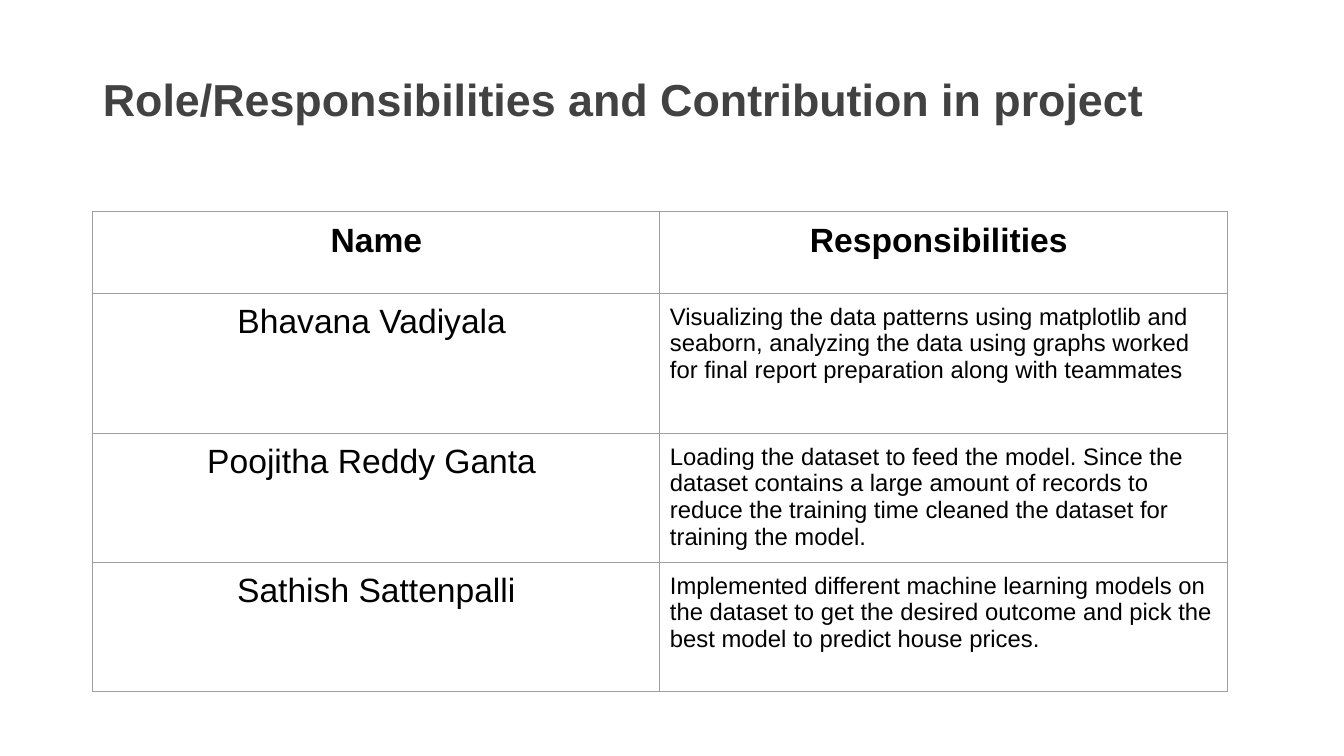
from dataclasses import dataclass
from lxml.etree import SubElement
from pptx import Presentation
from pptx.dml.color import RGBColor as Color
from pptx.enum.text import MSO_ANCHOR as Anchor, PP_ALIGN as Align
from pptx.oxml.ns import qn
from pptx.util import Inches, Pt

# Content
TITLE = "Role/Responsibilities and Contribution in project"
ROWS = [
    ("Name", "Responsibilities "),
    ("Bhavana Vadiyala ",
     "Visualizing the data patterns using matplotlib and seaborn, analyzing "
     "the data using graphs worked for final report preparation along with "
     "teammates"),
    ("Poojitha Reddy Ganta ",
     "Loading the dataset to feed the model. Since the dataset contains a "
     "large amount of records to reduce the training time cleaned the "
     "dataset for training the model."),
    ("Sathish Sattenpalli",
     "Implemented different machine learning models on the dataset to get "
     "the desired outcome and pick the best model to predict house prices."),
]
HEIGHTS = [0.81, 1.39, 1.28, 1.28]
LEFT, TOP, WIDTH = 0.92, 2.1, 11.25
PAD = 0.1


@dataclass
class Theme:
    font: str = "Arial"
    title: str = "424242"
    text: str = "000000"
    rule: str = "9E9E9E"
    head_size: int = 32
    name_size: int = 24
    body_size: int = 17
    rule_size: float = 0.75


THEME = Theme()


def write(para, text, size, color, bold=False):
    run = para.add_run()
    run.text = text
    font = run.font
    font.name, font.size, font.bold = THEME.font, Pt(size), bold
    font.color.rgb = Color.from_string(color)


def frame(cell):
    """Rule all four sides, then clear the fill."""
    props = cell._tc.get_or_add_tcPr()
    for side in ("lnL", "lnR", "lnT", "lnB"):
        line = SubElement(props, qn("a:" + side), w=str(Pt(THEME.rule_size)))
        fill = SubElement(line, qn("a:solidFill"))
        SubElement(fill, qn("a:srgbClr"), val=THEME.rule)
    cell.fill.background()


def add_title(slide):
    title = slide.shapes.title
    title.left, title.top = Inches(LEFT), Inches(0.4)
    title.width, title.height = Inches(11.5), Inches(1.22)
    box = title.text_frame
    box.word_wrap = True
    box.vertical_anchor = Anchor.MIDDLE
    para = box.paragraphs[0]
    para.alignment, para.line_spacing = Align.LEFT, 0.9
    write(para, TITLE, THEME.head_size, THEME.title, True)


def add_roles(slide):
    count = len(ROWS[0])
    table = slide.shapes.add_table(
        len(ROWS), count, Inches(LEFT), Inches(TOP),
        Inches(WIDTH), Inches(sum(HEIGHTS))).table
    table.first_row = table.horz_banding = False
    for col in table.columns:
        col.width = Inches(WIDTH / count)
    for i, (texts, height) in enumerate(zip(ROWS, HEIGHTS)):
        table.rows[i].height = Inches(height)
        for j, text in enumerate(texts):
            cell = table.cell(i, j)
            cell.margin_left = cell.margin_right = Inches(PAD)
            cell.margin_top = cell.margin_bottom = Inches(PAD)
            cell.vertical_anchor = Anchor.TOP
            frame(cell)
            head = i == 0
            large = head or j == 0
            para = cell.text_frame.paragraphs[0]
            para.alignment = Align.CENTER if large else Align.LEFT
            size = THEME.name_size if large else THEME.body_size
            write(para, text, size, THEME.text, head)


def main():
    deck = Presentation()
    deck.slide_width, deck.slide_height = Inches(13.33), Inches(7.5)
    slide = deck.slides.add_slide(deck.slide_layouts[5])
    add_title(slide)
    add_roles(slide)
    deck.save("out.pptx")


if __name__ == "__main__":
    main()
